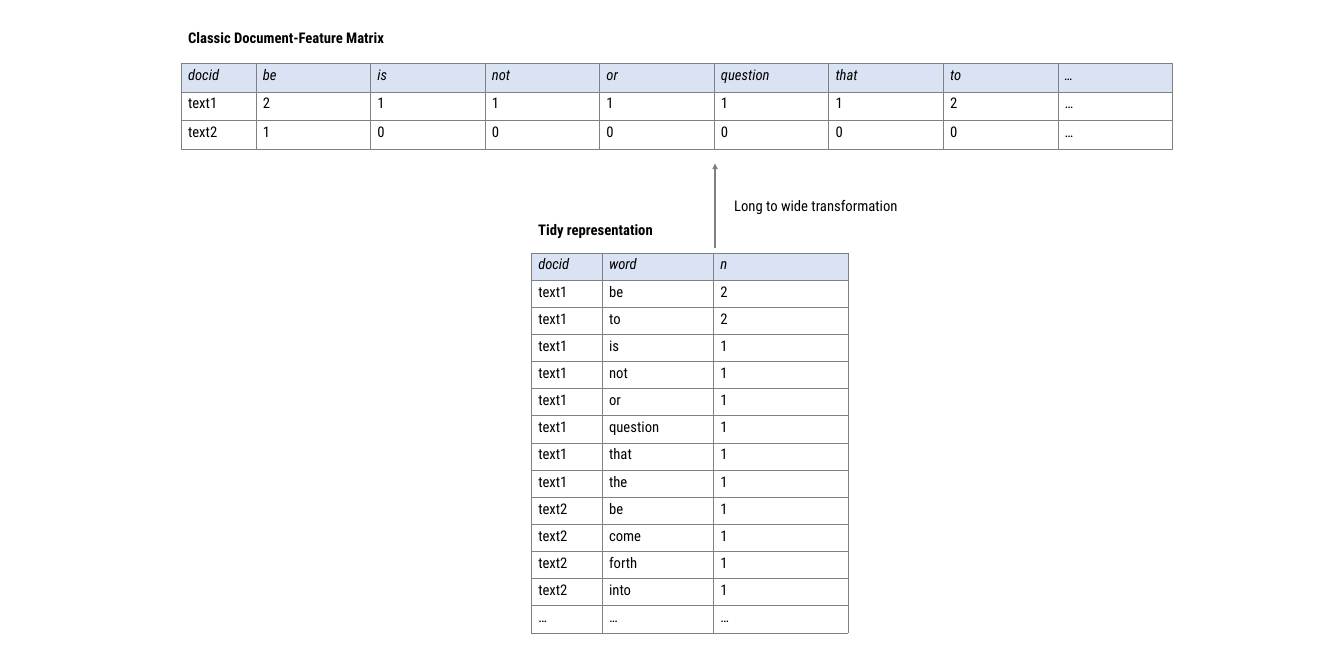
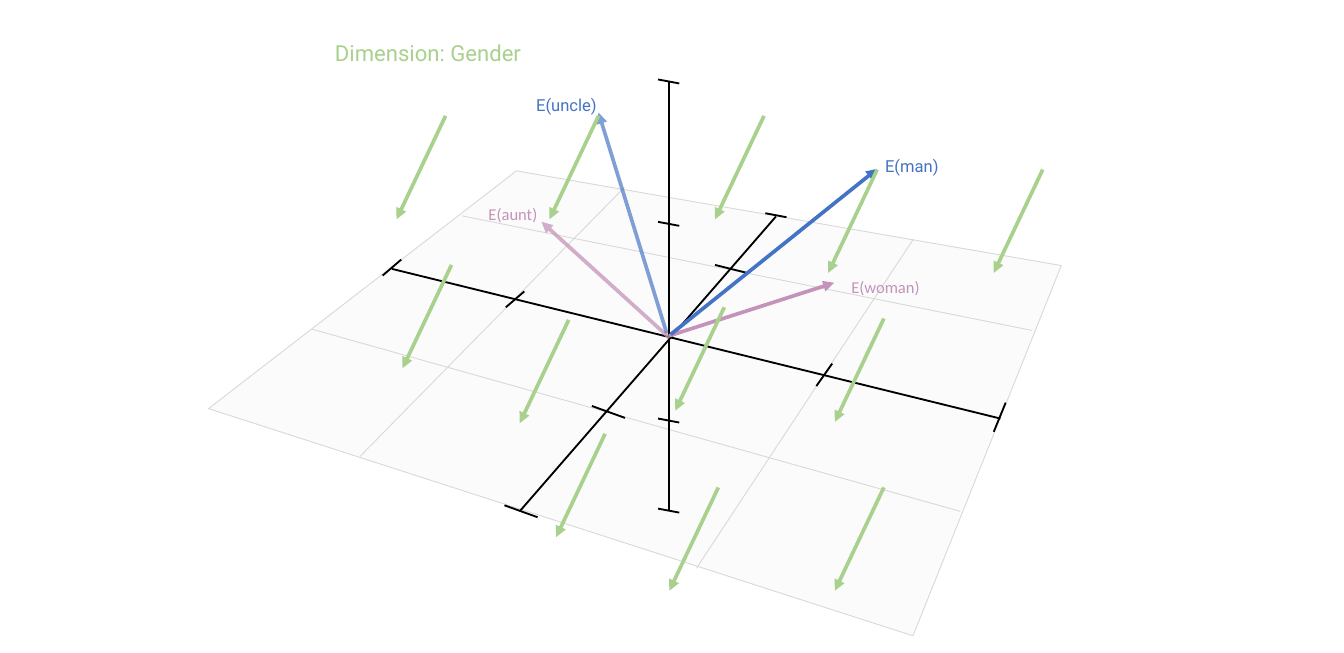
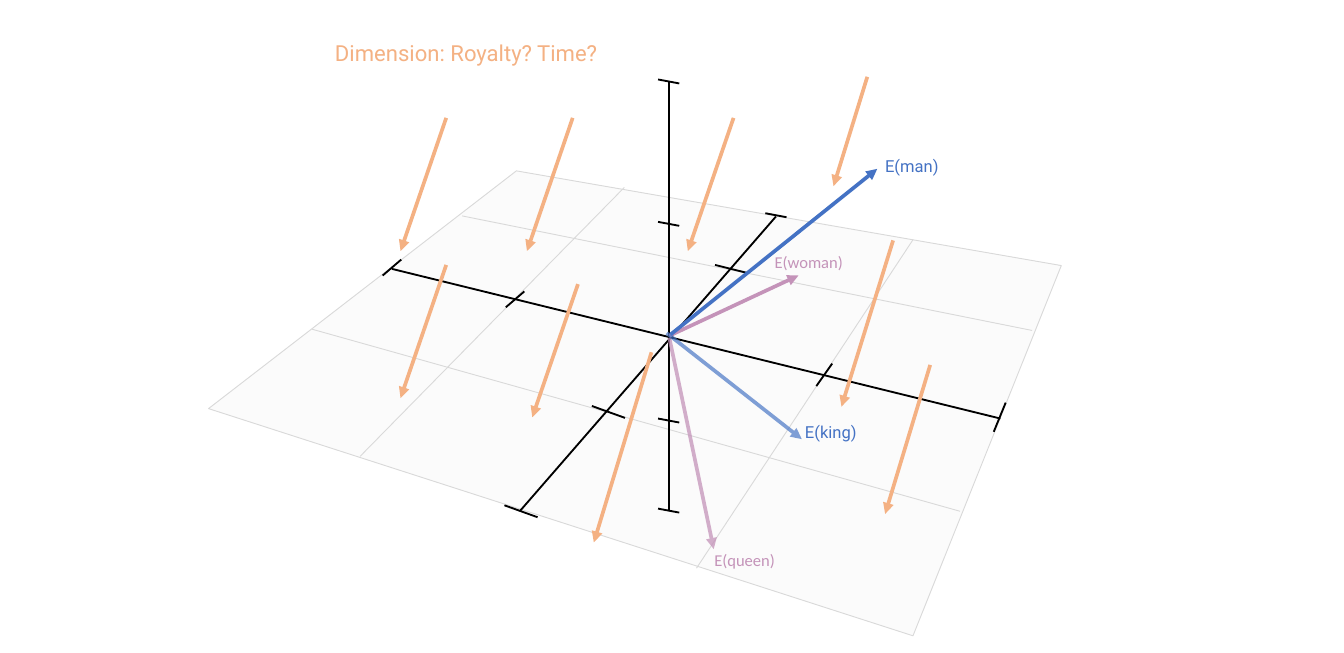
import pptx
import pptx.dml.color
import pptx.enum.shapes
import pptx.enum.text
import pptx.oxml.ns
import pptx.util
from lxml import etree

PX = 9144
BLACK, GREY, PALE, PLANE, HEADER = "000000", "808080", "D9D9D9", "F2F2F2", "DAE3F3"
BLUE, PINK, GREEN, ORANGE = "4472C4", "C493B9", "A9D18E", "F4B183"
CONDENSED, ROBOTO, CALIBRI = "Roboto Condensed", "Roboto", "Calibri"

PLANE_CORNERS = [(780, 258), (1603, 401), (1379, 960), (315, 617)]
GRID = [(1379, 362, 1052, 858), (943, 283, 544, 689), (1450, 772, 471, 497), (1559, 499, 698, 326)]
AXES = [(1010, 122, 1010, 772), (1511, 632, 592, 406), (1172, 327, 785, 772)]
TICKS = {
    (16, 3): [(1010, 123), (1010, 338), (1010, 635), (1010, 771), (1172, 325)],
    (14, -12): [(592, 404), (778, 452)],
    (12, -17): [(1245, 566)],
    (9, -22): [(1510, 630)],
    (25, 9): [(787, 772), (919, 622)],
    (24, 6): [(1104, 406)],
}
VECTORS = [
    (1011, 510, PINK, 74, CALIBRI),
    (1011, 507, PINK, 100, CALIBRI),
    (1007, 503, BLUE, 68, ROBOTO),
    (1013, 505, BLUE, 100, ROBOTO),
]
DIMENSIONS = [
    (
        "Dimension: Gender",
        GREEN,
        [
            ("E(aunt)", 818, 335, 728, 303),
            ("E(woman)", 1260, 427, 1276, 413),
            ("E(uncle)", 904, 170, 800, 138),
            ("E(man)", 1325, 255, 1327, 231),
        ],
        {
            (-74, 156): [
                (673, 175), (904, 175), (1154, 175), (1325, 256), (1575, 256), (682, 400),
                (859, 483), (1094, 464), (1335, 481), (914, 655), (1085, 736), (1335, 736),
            ],
        },
    ),
    (
        "Dimension: Royalty? Time?",
        ORANGE,
        [
            ("E(queen)", 1078, 829, 1069, 826),
            ("E(woman)", 1206, 416, 1160, 376),
            ("E(king)", 1211, 663, 1206, 632),
            ("E(man)", 1325, 255, 1327, 231),
        ],
        {
            (-69, 201): [(674, 178), (865, 178), (1108, 178), (674, 400), (873, 429)],
            (-51, 165): [(1310, 116)],
            (-78, 251): [(1349, 363)],
            (-68, 225): [(1405, 551)],
            (-87, 287): [(984, 532)],
        },
    ),
]

DFM = [
    ["docid", "be", "is", "not", "or", "question", "that", "to", "…"],
    ["text1", "2", "1", "1", "1", "1", "1", "2", "…"],
    ["text2", "1", "0", "0", "0", "0", "0", "0", "…"],
]
COUNTS = {
    "text1": [("be", 2), ("to", 2), ("is", 1), ("not", 1), ("or", 1), ("question", 1), ("that", 1), ("the", 1)],
    "text2": [("be", 1), ("come", 1), ("forth", 1), ("into", 1)],
}
TIDY = [
    ["docid", "word", "n"],
    *[[doc, word, str(n)] for doc, pairs in COUNTS.items() for word, n in pairs],
    ["…"] * 3,
]


def px(*lengths):
    return [pptx.util.Emu(n * PX) for n in lengths]


def rgb(value):
    return pptx.dml.color.RGBColor.from_string(value)


def add_xml(parent, tag, **attrs):
    return etree.SubElement(parent, pptx.oxml.ns.qn(tag), attrs)


def paint(fill, color, alpha=100):
    fill.solid()
    fill.fore_color.rgb = rgb(color)
    if alpha < 100:
        clr = fill._xPr.find(".//" + pptx.oxml.ns.qn("a:srgbClr"))
        add_xml(clr, "a:alpha", val=str(alpha * 1000))


def write(tf, text, size=16, font=CONDENSED, color=BLACK, bold=False, italic=False):
    p = tf.paragraphs[0]
    p.alignment = pptx.enum.text.PP_ALIGN.LEFT
    r = p.add_run()
    r.text = text
    r.font.size = pptx.util.Pt(size)
    r.font.name = font
    r.font.color.rgb = rgb(color)
    r.font.bold = bold
    r.font.italic = italic


class Deck:
    """Hold the shared style and the slide being built."""

    def __init__(self):
        self.prs = pptx.Presentation()
        self.prs.slide_width, self.prs.slide_height = px(2030, 986)

    def slide(self, title, x, y, w, h, **fmt):
        s = self.prs.slides.add_slide(self.prs.slide_layouts[5])
        self.shapes = s.shapes
        self.place(s.shapes.title, title, x, y, w, h, **fmt)

    def place(self, sp, text, x, y, w, h, **fmt):
        sp.left, sp.top, sp.width, sp.height = px(x, y, w, h)
        tf = sp.text_frame
        tf.word_wrap = True
        tf.auto_size = pptx.enum.text.MSO_AUTO_SIZE.SHAPE_TO_FIT_TEXT
        tf.vertical_anchor = pptx.enum.text.MSO_ANCHOR.TOP
        write(tf, text, **fmt)

    def text(self, text, x, y, w, h, **fmt):
        self.place(self.shapes.add_textbox(0, 0, 0, 0), text, x, y, w, h, **fmt)

    def line(self, x1, y1, x2, y2, color, width, alpha=100, arrow=False, shapes=None):
        straight = pptx.enum.shapes.MSO_CONNECTOR.STRAIGHT
        sp = (shapes or self.shapes).add_connector(straight, *px(x1, y1, x2, y2))
        sp.line.width = pptx.util.Pt(width)
        paint(sp.line.fill, color, alpha)
        if arrow:
            add_xml(sp.line._get_or_add_ln(), "a:tailEnd", type="triangle")
        add_xml(sp._element.spPr, "a:effectLst")

    def space(self):
        shapes = self.shapes.add_group_shape().shapes
        builder = shapes.build_freeform(*PLANE_CORNERS[0], scale=PX)
        builder.add_line_segments(PLANE_CORNERS[1:], close=True)
        sp = builder.convert_to_shape()
        sp.shadow.inherit = False
        paint(sp.fill, PLANE, 23)
        paint(sp.line.fill, PALE)
        sp.line.width = pptx.util.Pt(1)
        ticks = [
            (x + dx, y + dy, x - dx, y - dy)
            for (dx, dy), centres in TICKS.items()
            for x, y in centres
        ]
        for ends in GRID:
            self.line(*ends, PALE, 1, shapes=shapes)
        for ends in AXES + ticks:
            self.line(*ends, BLACK, 2, shapes=shapes)

    def table(self, rows, x, y, widths, row_height):
        frame = self.shapes.add_table(
            len(rows), len(widths), *px(x, y, sum(widths), row_height * len(rows))
        )
        table = frame.table
        table.horz_banding = False
        for column, width in zip(table.columns, widths):
            column.width = px(width)[0]
        for i, values in enumerate(rows):
            table.rows[i].height = px(row_height)[0]
            for j, value in enumerate(values):
                self.cell(table.cell(i, j), value, header=i == 0)

    def cell(self, cell, value, header):
        tc_pr = cell._tc.get_or_add_tcPr()
        for side in "LRTB":
            ln = add_xml(tc_pr, "a:ln" + side, w="12700")
            add_xml(add_xml(ln, "a:solidFill"), "a:srgbClr", val=GREY)
        if header:
            paint(cell.fill, HEADER)
        else:
            cell.fill.background()
        write(cell.text_frame, value, italic=header)


def main():
    deck = Deck()
    deck.slide("Classic Document-Feature Matrix", 274, 38, 491, 37, bold=True)
    deck.table(DFM, 274, 96, [113] + [173] * 8, 43)
    deck.table(TIDY, 803, 382, [107, 168, 203], 41)
    deck.line(1080, 374, 1080, 247, GREY, 1.75, arrow=True)
    deck.text("Long to wide transformation", 1099, 292, 491, 37)
    deck.text("Tidy representation", 803, 329, 491, 37, bold=True)

    for title, color, words, shifts in DIMENSIONS:
        deck.slide(title, 496, 54, 741, 50, size=24, font=ROBOTO, color=color)
        deck.space()
        for (x, y, hue, alpha, font), (word, tip_x, tip_y, left, top) in zip(VECTORS, words):
            deck.line(x, y, tip_x, tip_y, hue, 4, alpha, arrow=True)
            deck.text(word, left, top, 142, 40, size=18, font=font, color=hue)
        for (dx, dy), starts in shifts.items():
            for x, y in starts:
                deck.line(x, y, x + dx, y + dy, color, 4, arrow=True)

    deck.prs.save("out.pptx")


if __name__ == "__main__":
    main()
